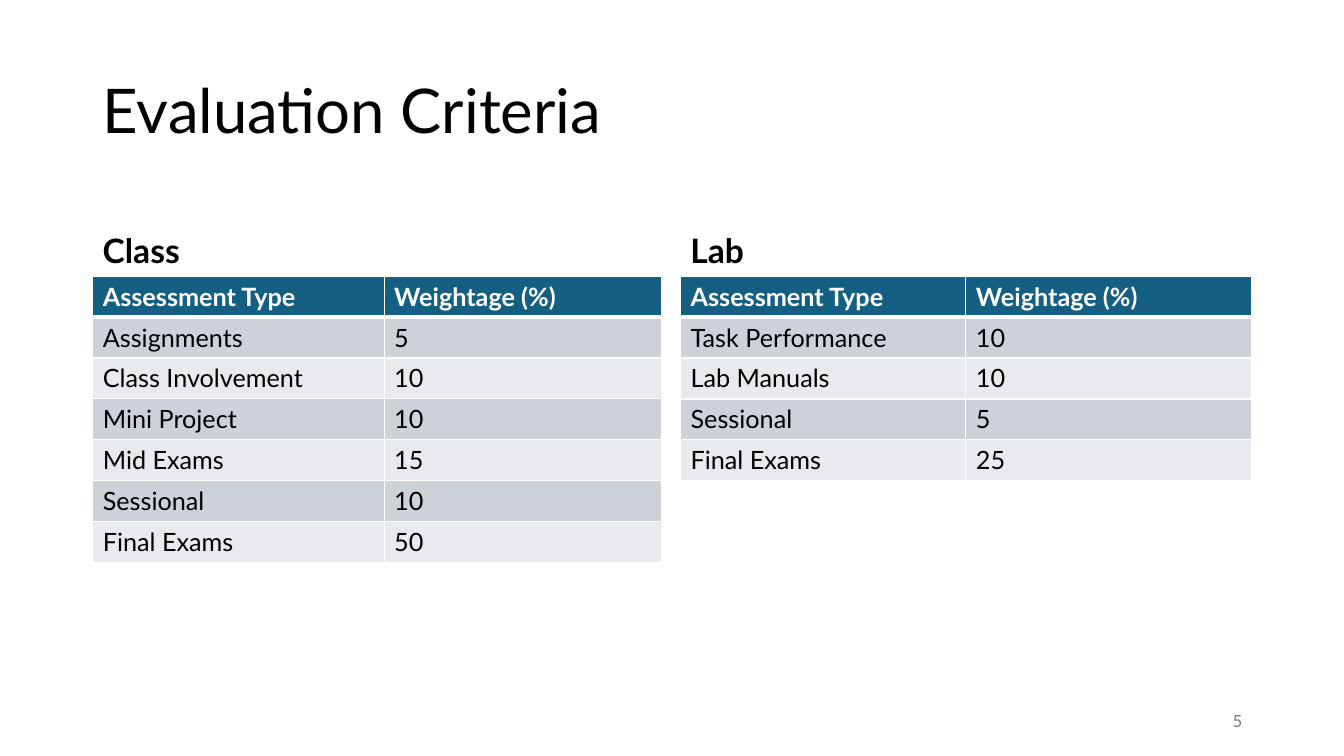
"""Build the evaluation criteria slide with its two weightage tables."""
from lxml import etree
from pptx import Presentation
from pptx.dml.color import RGBColor
from pptx.enum.text import MSO_ANCHOR, PP_ALIGN
from pptx.oxml.ns import qn
from pptx.util import Inches, Pt

LEFT, RIGHT = PP_ALIGN.LEFT, PP_ALIGN.RIGHT
MIDDLE, BOTTOM = MSO_ANCHOR.MIDDLE, MSO_ANCHOR.BOTTOM
FONT = "Lato"
COLORS = {
    "ink": "000000",
    "white": "FFFFFF",
    "head": "156082",
    "dark": "CCD2D8",
    "light": "E8EAED",
    "gray": "797979",
}
HEADER = ("Assessment Type", "Weightage (%)")
CLASS = [
    ("Assignments", "5"),
    ("Class Involvement", "10"),
    ("Mini Project", "10"),
    ("Mid Exams", "15"),
    ("Sessional", "10"),
    ("Final Exams", "50"),
]
LAB = [
    ("Task Performance", "10"),
    ("Lab Manuals", "10"),
    ("Sessional", "5"),
    ("Final Exams", "25"),
]


def color(name):
    return RGBColor.from_string(COLORS[name])


def write(frame, text, size=18, ink="ink", bold=False, align=LEFT, line=1.0, before=0):
    para = frame.paragraphs[0]
    para.alignment = align
    para.line_spacing = line
    para.space_before = Pt(before)
    run = para.add_run()
    run.text = text
    font = run.font
    font.name, font.size, font.bold = FONT, Pt(size), bold
    font.color.rgb = color(ink)


def add_text(slide, box, text, anchor=MIDDLE, **style):
    frame = slide.shapes.add_textbox(*map(Inches, box)).text_frame
    frame.word_wrap = True
    frame.vertical_anchor = anchor
    write(frame, text, **style)


def add_border(cell, top, bottom):
    props = cell._tc.get_or_add_tcPr()
    for side, width in (("L", 1), ("R", 1), ("T", top), ("B", bottom)):
        line = etree.SubElement(props, qn(f"a:ln{side}"), w=str(Pt(width)))
        fill = etree.SubElement(line, qn("a:solidFill"))
        etree.SubElement(fill, qn("a:srgbClr"), val=COLORS["white"])


def add_grid(slide, box, widths, data):
    rows = [HEADER, *data]
    frame = slide.shapes.add_table(len(rows), len(HEADER), *map(Inches, box))
    table = frame.table
    for col, width in zip(table.columns, widths):
        col.width = Inches(width)
    for i, row in enumerate(rows):
        head = i == 0
        shade = "head" if head else ("light", "dark")[i % 2]
        for j, text in enumerate(row):
            cell = table.cell(i, j)
            add_border(cell, 3 if i == 1 else 1, 3 if head else 1)
            cell.fill.solid()
            cell.fill.fore_color.rgb = color(shade)
            write(cell.text_frame, text, ink="white" if head else "ink", bold=head)


def add_panel(slide, left, title, widths, height, data):
    width = sum(widths)
    add_text(slide, (left, 1.84, width, 0.9), title, anchor=BOTTOM,
             size=24, bold=True, line=0.9, before=10)
    add_grid(slide, (left, 2.74, width, height), widths, data)


def main():
    deck = Presentation()
    deck.slide_width, deck.slide_height = Inches(13.33), Inches(7.5)
    slide = deck.slides.add_slide(deck.slide_layouts[6])
    add_text(slide, (0.92, 0.4, 11.5, 1.45), "Evaluation Criteria", size=44, line=0.9)
    add_panel(slide, 0.92, "Class", (2.89, 2.75), 2.84, CLASS)
    add_panel(slide, 6.75, "Lab", (2.83, 2.83), 2.03, LAB)
    add_text(slide, (9.42, 6.95, 3, 0.4), "5", size=12, ink="gray", align=RIGHT)
    deck.save("out.pptx")


if __name__ == "__main__":
    main()
